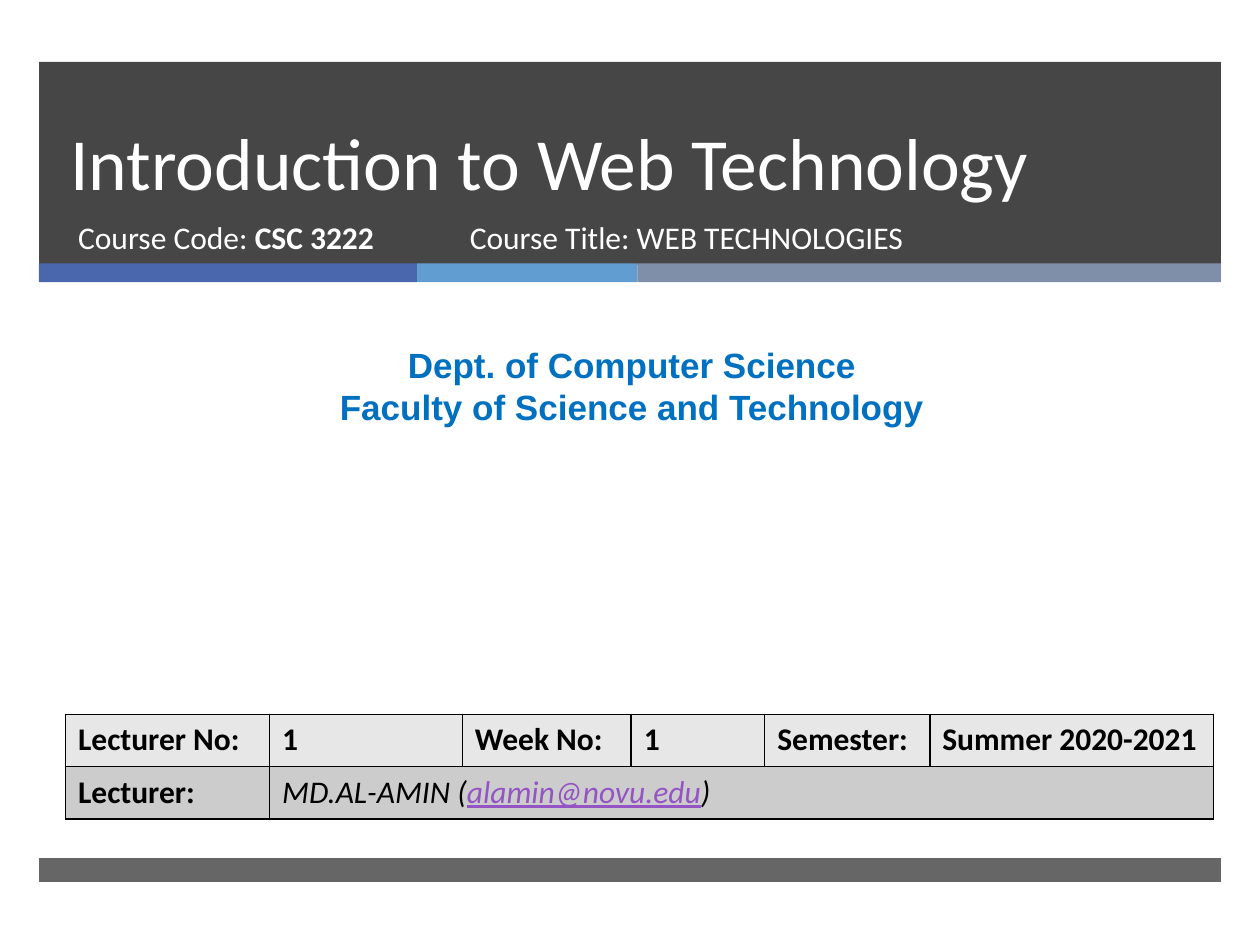
from dataclasses import dataclass

from lxml import etree
from pptx import Presentation
from pptx.dml.color import RGBColor
from pptx.enum.shapes import MSO_SHAPE
from pptx.enum.text import MSO_ANCHOR, MSO_AUTO_SIZE, PP_ALIGN
from pptx.oxml.ns import qn
from pptx.util import Inches, Pt

RECTANGLE = MSO_SHAPE.RECTANGLE
TOP, BOTTOM = MSO_ANCHOR.TOP, MSO_ANCHOR.BOTTOM
NO_AUTOFIT = MSO_AUTO_SIZE.NONE
LEFT, CENTER = PP_ALIGN.LEFT, PP_ALIGN.CENTER


@dataclass(frozen=True)
class Theme:
    heading_font: str = "Calibri"
    department_font: str = "Arial"
    title_size: int = 42
    title_leading: int = 46
    text_size: int = 18
    department_size: int = 20
    border_width: int = 1
    dark: str = "262626"
    white: str = "FFFFFF"
    black: str = "000000"
    department: str = "0070C0"
    email: str = "9454C3"
    stripes: tuple = ("4A66AC", "629DD1", "7F8FA9")
    rows: tuple = ("E7E7E7", "CCCCCC")


THEME = Theme()


def inches(*lengths):
    return [Inches(length) for length in lengths]


def add_span(para, text, color=THEME.white, size=THEME.text_size,
             font=THEME.heading_font, bold=False, italic=False, underline=False):
    span = para.add_run()
    span.text = text
    span.font.name = font
    span.font.size = Pt(size)
    span.font.bold = bold
    span.font.italic = italic
    span.font.underline = underline
    span.font.color.rgb = RGBColor.from_string(color)


def prepare_text(shape, anchor=TOP, align=LEFT):
    frame = shape.text_frame
    frame.word_wrap = True
    frame.auto_size = NO_AUTOFIT
    frame.vertical_anchor = anchor
    para = frame.paragraphs[0]
    para.alignment = align
    para.space_before = Pt(0)
    return para


def place(shape, box):
    shape.left, shape.top, shape.width, shape.height = inches(*box)


def add_band(page, box, color, opacity=100):
    band = page.shapes.add_shape(RECTANGLE, *inches(*box))
    band.shadow.inherit = False
    band.fill.solid()
    band.fill.fore_color.rgb = RGBColor.from_string(color)
    band.line.fill.background()
    if opacity < 100:
        tint = band.element.spPr.find(qn("a:solidFill"))[0]
        etree.SubElement(tint, qn("a:alpha"), val=str(opacity * 1000))
    page.shapes.title.element.addprevious(band.element)


def add_backdrop(page, box):
    left, top, width, height = box
    add_band(page, (left, top, width, 1.61), THEME.dark, 85)
    stripe_left = left
    for stripe_width, color in zip((3, 1.75, 4.63), THEME.stripes):
        add_band(page, (stripe_left, top + 1.6, stripe_width, 0.15), color)
        stripe_left += stripe_width
    footer_height = 0.19
    footer_top = top + height - footer_height
    add_band(page, (left, footer_top, width, footer_height), THEME.dark, 70)


def add_heading(page, box):
    left, top, width, height = box
    title = page.shapes.title
    place(title, (left, top, width, height))
    para = prepare_text(title, BOTTOM)
    para.line_spacing = Pt(THEME.title_leading)
    add_span(para, "Introduction to Web Technology", size=THEME.title_size)

    line_top, line_height = top + height, 0.53
    code = page.placeholders[1]
    place(code, (left + 0.06, line_top, 3.05, line_height))
    para = prepare_text(code)
    add_span(para, "Course Code: ")
    add_span(para, "CSC 3222", bold=True)

    course = page.shapes.add_textbox(*inches(left + 3.17, line_top, 4.55, line_height))
    add_span(prepare_text(course), "Course Title: WEB TECHNOLOGIES")


def add_department(page, box):
    department = page.shapes.add_textbox(*inches(*box))
    first = prepare_text(department, align=CENTER)
    second = department.text_frame.add_paragraph()
    second.alignment = CENTER
    lines = ("Dept. of Computer Science", "Faculty of Science and Technology")
    for para, text in zip((first, second), lines):
        add_span(para, text, THEME.department, THEME.department_size,
                 THEME.department_font, bold=True)


def format_cell(cell, color):
    properties = cell._tc.get_or_add_tcPr()
    for side in ("a:lnL", "a:lnR", "a:lnT", "a:lnB"):
        border = etree.SubElement(properties, qn(side), w=str(Pt(THEME.border_width)))
        fill = etree.SubElement(border, qn("a:solidFill"))
        etree.SubElement(fill, qn("a:srgbClr"), val=THEME.black)
    cell.fill.solid()
    cell.fill.fore_color.rgb = RGBColor.from_string(color)


def add_lecture_table(page, box):
    widths = (1.62, 1.53, 1.34, 1.06, 1.31, 2.25)
    labels = ("Lecturer No:", "1", "Week No:", "1", "Semester:", "Summer 2020-2021")
    table = page.shapes.add_table(len(THEME.rows), len(widths), *inches(*box)).table
    for column, width in zip(table.columns, widths):
        column.width = Inches(width)
    for row, color in zip(table.rows, THEME.rows):
        for cell in row.cells:
            format_cell(cell, color)
    for column, label in enumerate(labels):
        para = table.cell(0, column).text_frame.paragraphs[0]
        add_span(para, label, THEME.black, bold=True)

    para = table.cell(1, 0).text_frame.paragraphs[0]
    add_span(para, "Lecturer:", THEME.black, bold=True)
    lecturer = table.cell(1, 1)
    lecturer.merge(table.cell(1, len(widths) - 1))
    para = lecturer.text_frame.paragraphs[0]
    add_span(para, "MD.AL-AMIN (", THEME.black, italic=True)
    add_span(para, "alamin@novu.edu", THEME.email, italic=True, underline=True)
    add_span(para, ")", THEME.black, italic=True)


def main():
    deck = Presentation()
    deck.slide_width, deck.slide_height = inches(10, 7.5)
    page = deck.slides.add_slide(deck.slide_layouts[0])
    add_backdrop(page, (0.31, 0.49, 9.38, 6.51))
    add_heading(page, (0.46, 0.49, 8.54, 1.19))
    add_department(page, (0.08, 2.68, 9.87, 0.77))
    add_lecture_table(page, (0.52, 5.67, 9.12, 0.83))
    deck.save("out.pptx")


if __name__ == "__main__":
    main()
